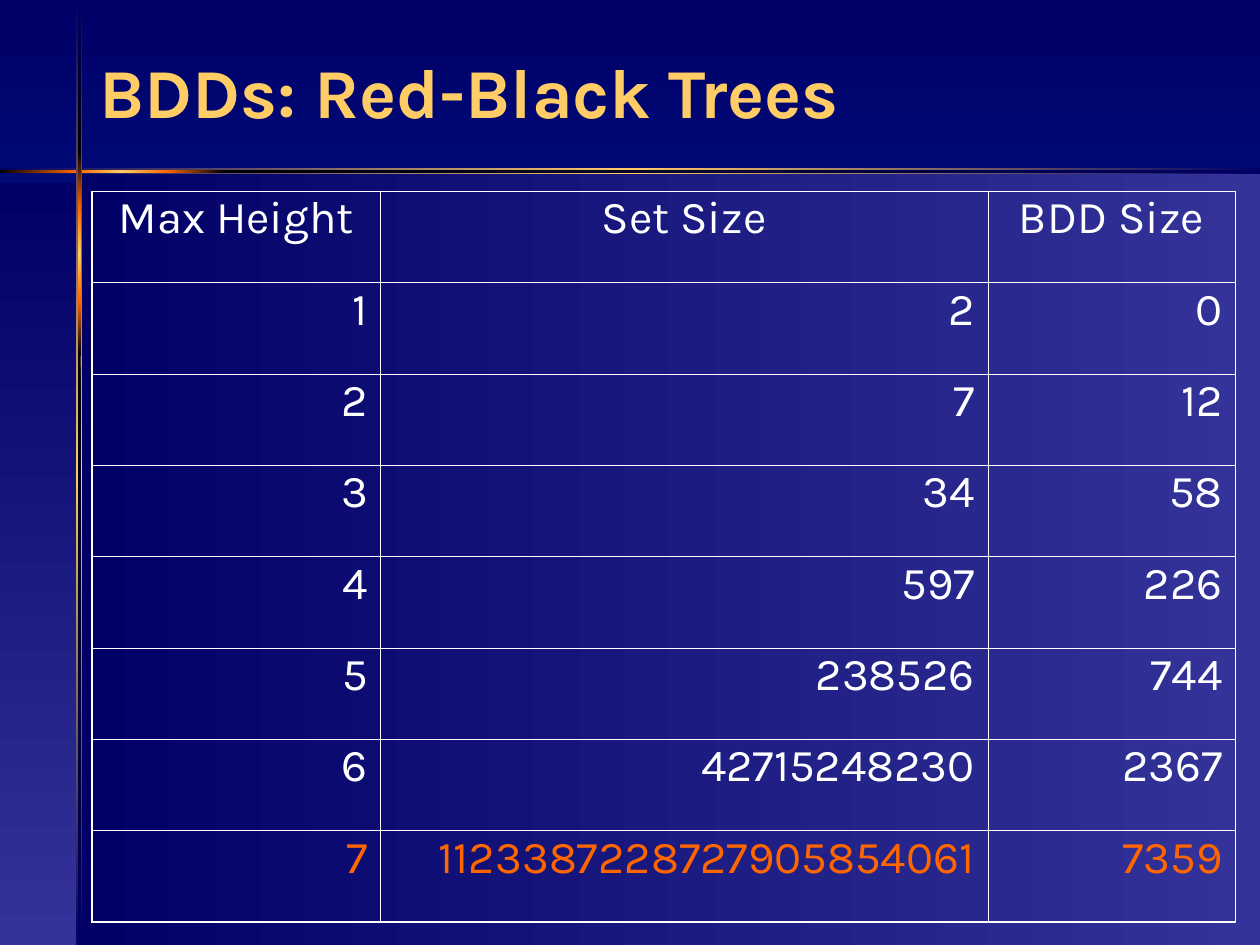
import copy

from pptx import Presentation
from pptx.dml.color import RGBColor
from pptx.enum import shapes, text
from pptx.oxml import parse_xml
from pptx.oxml.ns import nsdecls, qn
from pptx.util import Pt

NAVY = RGBColor(0x00, 0x00, 0x66)
BLUE = RGBColor(0x00, 0x33, 0xCC)
INDIGO = RGBColor(0x33, 0x33, 0x99)
GOLD = RGBColor(0xFF, 0xCC, 0x66)
ORANGE = RGBColor(0xFF, 0x66, 0x00)
BLACK = RGBColor(0x00, 0x00, 0x00)
WHITE = RGBColor(0xFF, 0xFF, 0xFF)
FONT = "Karla"
DOWN, LEFTWARD = 270, 180
OUTER, INNER = 1.08, 0.45

prs = Presentation()
prs.slide_width, prs.slide_height = Pt(720), Pt(540)
slide = prs.slides.add_slide(prs.slide_layouts[5])

sky = slide.background.fill
sky.gradient()
sky.gradient_angle = DOWN
for stop, color in zip(sky.gradient_stops, (NAVY, BLUE)):
    stop.color.rgb = color


def add_band(left, top, width, height, angle, colors):
    """Draw a borderless rectangle with evenly spaced gradient colours."""
    band = slide.shapes.add_shape(
        shapes.MSO_SHAPE.RECTANGLE, Pt(left), Pt(top), Pt(width), Pt(height))
    band.shadow.inherit = False
    band.line.fill.background()
    band.fill.gradient()
    band.fill.gradient_angle = angle
    stop_list = band._element.spPr.find(".//" + qn("a:gsLst"))
    for _ in colors[2:]:
        stop_list.append(copy.deepcopy(stop_list[0]))
    for i, (stop, color) in enumerate(zip(band.fill.gradient_stops, colors)):
        stop.position = i / (len(colors) - 1)
        stop.color.rgb = color


# Panels beside and below the cross
add_band(45, 98, 675, 442, LEFTWARD, (INDIGO, NAVY))
add_band(0, 104.5, 45, 435.5, DOWN, (NAVY, INDIGO))

# Horizontal arm: a glowing bar with a thin core in sections
add_band(0, 96.2, 720, 3.4, LEFTWARD, (NAVY, GOLD, NAVY))
for left, right, colors in (
    (95.7, 127.4, (BLACK, ORANGE)),
    (0, 43.7, (ORANGE, BLACK)),
    (127.4, 720, (NAVY, BLACK)),
    (43.5, 95.7, (ORANGE, GOLD, ORANGE)),
):
    add_band(left, 97.2, right - left, 1.5, LEFTWARD, colors)

# Vertical arm
add_band(43.7, 0, 3.3, 540, DOWN, (NAVY, GOLD, NAVY))
for top, bottom, colors in (
    (118.8, 171.4, (ORANGE, GOLD, ORANGE)),
    (0.5, 87.4, (NAVY, BLACK)),
    (203, 540, (BLACK, NAVY)),
    (171.4, 203, (ORANGE, BLACK)),
    (87.4, 118.8, (BLACK, ORANGE)),
):
    add_band(44.6, top, 1.5, bottom - top, DOWN, colors)

# Title, brought in front of the bands
title = slide.shapes.title
slide.shapes._spTree.append(title._element)
title.left, title.top, title.width, title.height = Pt(49.7), Pt(15.8), Pt(653), Pt(78.5)
heading = title.text_frame
heading.word_wrap = True
heading.auto_size = text.MSO_AUTO_SIZE.NONE
heading.vertical_anchor = text.MSO_ANCHOR.MIDDLE
heading.paragraphs[0].alignment = text.PP_ALIGN.LEFT
heading.paragraphs[0].line_spacing = 0.9
run = heading.paragraphs[0].add_run()
run.text = "BDDs: Red-Black Trees"
run.font.name, run.font.size, run.font.bold = FONT, Pt(40), True
run.font.color.rgb = GOLD
fill = run._r.rPr.find(qn("a:solidFill"))
fill.addnext(parse_xml(
    f'<a:effectLst {nsdecls("a")}><a:outerShdw dist="50800" dir="2700000">'
    f'<a:srgbClr val="{BLACK}"/></a:outerShdw></a:effectLst>'))

# Table of sizes by tree height
rows = (
    ("Max Height", "Set Size", "BDD Size"),
    ("1", "2", "0"),
    ("2", "7", "12"),
    ("3", "34", "58"),
    ("4", "597", "226"),
    ("5", "238526", "744"),
    ("6", "42715248230", "2367"),
    ("7", "1123387228727905854061", "7359"),
)
column_widths = (164.9, 347, 141.5)
row_height = 52.2
last_row, last_col = len(rows) - 1, len(column_widths) - 1
sizes = slide.shapes.add_table(
    len(rows), len(column_widths), Pt(52.6), Pt(109.4),
    Pt(sum(column_widths)), Pt(row_height * len(rows))).table
sizes.first_row = sizes.horz_banding = False
for column, width in zip(sizes.columns, column_widths):
    column.width = Pt(width)

for r, values in enumerate(rows):
    sizes.rows[r].height = Pt(row_height)
    for c, value in enumerate(values):
        cell = sizes.cell(r, c)
        cell.margin_left = cell.margin_right = Pt(7.2)
        cell.margin_top = cell.margin_bottom = Pt(3.6)
        para = cell.text_frame.paragraphs[0]
        para.alignment = text.PP_ALIGN.RIGHT if r else text.PP_ALIGN.CENTER
        para.line_spacing = 0.85
        para.space_before = Pt(13)
        run = para.add_run()
        run.text = value
        run.font.name, run.font.size = FONT, Pt(26)
        run.font.color.rgb = ORANGE if r == last_row else WHITE

        edges = (("L", c == 0), ("R", c == last_col), ("T", r == 0), ("B", r == last_row))
        for side, is_outer in edges:
            width = Pt(OUTER if is_outer else INNER)
            cell._tc.get_or_add_tcPr().append(parse_xml(
                f'<a:ln{side} {nsdecls("a")} w="{width}"><a:solidFill>'
                f'<a:srgbClr val="{WHITE}"/></a:solidFill></a:ln{side}>'))
        cell.fill.background()

prs.save("out.pptx")
